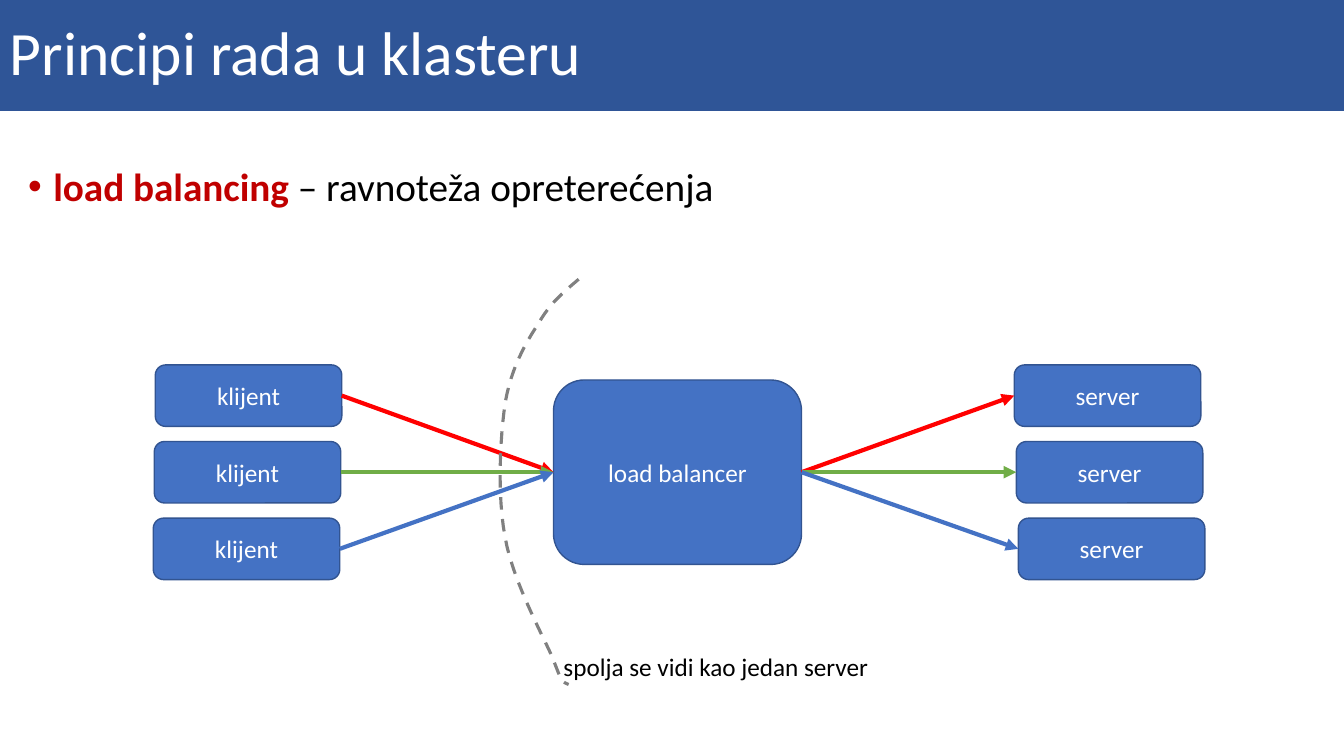
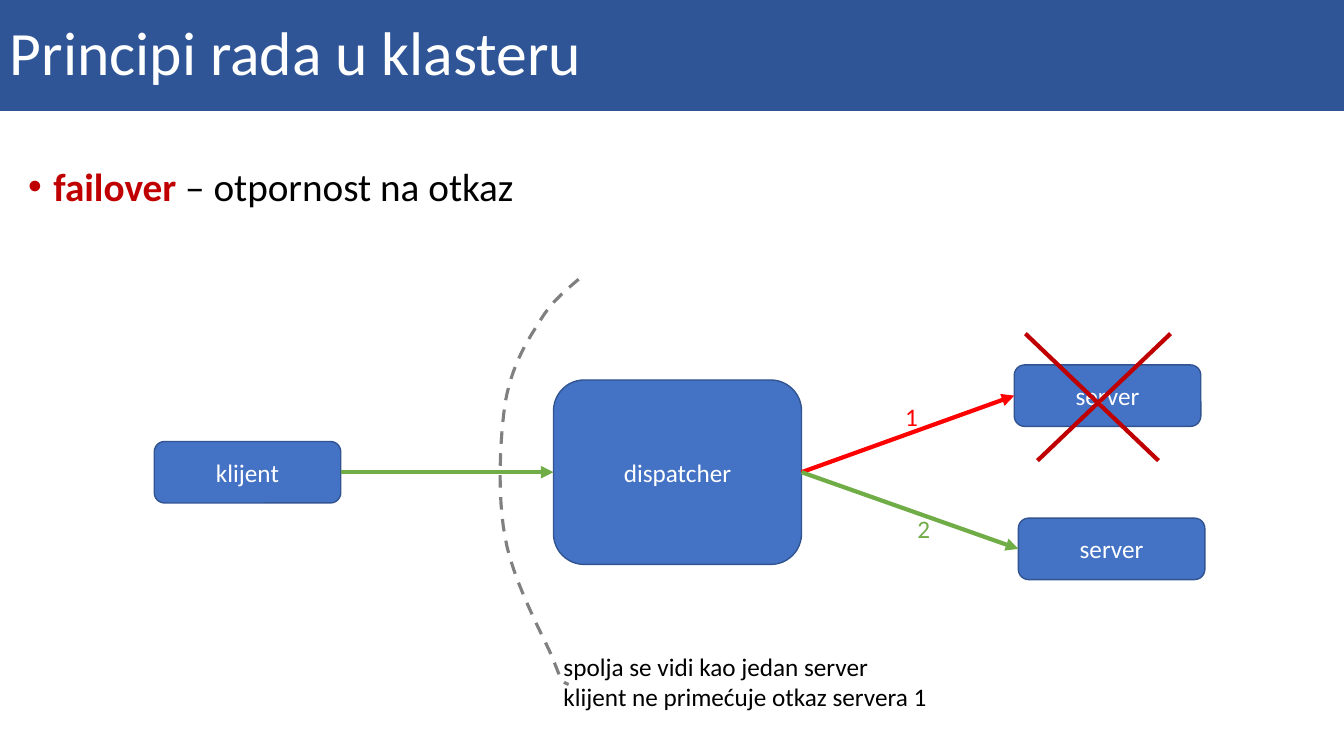
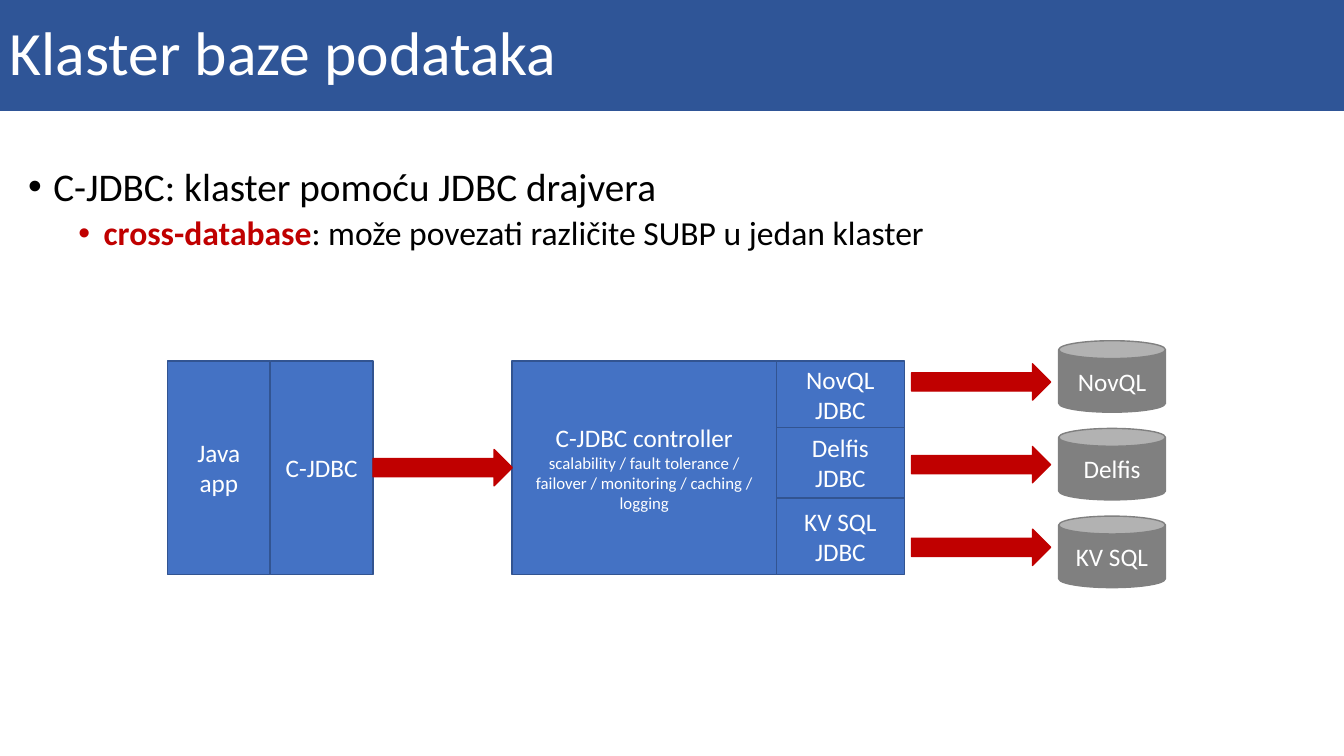
from dataclasses import dataclass
from itertools import accumulate

from lxml.etree import SubElement
from pptx import Presentation
from pptx.dml.color import RGBColor
from pptx.enum.dml import MSO_LINE
from pptx.enum.shapes import MSO_CONNECTOR, MSO_SHAPE as SHAPE
from pptx.enum.text import MSO_ANCHOR, MSO_AUTO_SIZE, PP_ALIGN
from pptx.oxml.ns import qn
from pptx.util import Inches, Pt


@dataclass(frozen=True)
class Theme:
    font: str = "Calibri"
    band: str = "2F5597"
    box: str = "4472C4"
    edge: str = "325491"
    accent: str = "C00000"
    gray: str = "808080"
    red: str = "FF0000"
    green: str = "70AD47"
    white: str = "FFFFFF"
    black: str = "000000"
    title: int = 44
    bullets: tuple = (28, 24)
    label: int = 18
    small: int = 12


T = Theme()
LEFT_SIDE, RIGHT_SIDE = 1, 3

PRINCIPLES = "Principi rada u klasteru"
CLUSTER_SLIDES = [
    {
        "bullets": [("load balancing ", "– ravnoteža opreterećenja")],
        "hub": "load balancer",
        "clients": [(0, T.red), (1, T.green), (2, T.box)],
        "servers": [(0, T.red), (1, T.green), (2, T.box)],
        "note": (["spolja se vidi kao jedan server"], 3.32, 0.4),
        "route_labels": [],
        "failed": False,
    },
    {
        "bullets": [("failover", " – otpornost na otkaz")],
        "hub": "dispatcher",
        "clients": [(1, T.green)],
        "servers": [(0, T.red), (2, T.green)],
        "note": (["spolja se vidi kao jedan server",
                  "klijent ne primećuje otkaz servera 1"], 3.91, 0.71),
        "route_labels": [("1", 8.88, 3.93, T.red), ("2", 9, 5.04, T.green)],
        "failed": True,
    },
]
BOUNDARY_START = (5.74, 2.77)
BOUNDARY_CURVES = [
    ((5.6, 2.89), (5.46, 3), (5.34, 3.21)),
    ((5.21, 3.41), (5.07, 3.65), (5.01, 4)),
    ((4.96, 4.35), (4.93, 4.91), (5.01, 5.33)),
    ((5.08, 5.74), (5.36, 6.26), (5.47, 6.5)),
    ((5.57, 6.75), (5.56, 6.76), (5.64, 6.79)),
]
FAILURE_CROSS = [(10.17, 3.31, 11.49, 4.57), (11.61, 3.31, 10.29, 4.57)]

DATABASE_TITLE = "Klaster baze podataka"
DATABASE_BULLETS = [
    ("", "C-JDBC: klaster pomoću JDBC drajvera"),
    ("cross-database", ": može povezati različite SUBP u jedan klaster"),
]
APP_PARTS = ["Java app", "C-JDBC"]
CONTROLLER = ["C-JDBC controller",
              "scalability / fault tolerance / failover / monitoring / caching / logging"]
DATABASES = [("NovQL", 0.66), ("Delfis", 0.7), ("KV SQL", 0.76)]


def rgb(value):
    return RGBColor.from_string(value)


def set_font(font, size, color):
    font.name, font.size = T.font, Pt(size)
    font.color.rgb = rgb(color)


def add_shape(slide, kind, at, fill, edge, lines=(), sizes=(T.label, T.label), width=1):
    shape = slide.shapes.add_shape(kind, *map(Inches, at))
    shape.shadow.inherit = False
    shape.fill.solid()
    shape.fill.fore_color.rgb = rgb(fill)
    shape.line.color.rgb = rgb(edge)
    shape.line.width = Pt(width)
    frame = shape.text_frame
    frame.vertical_anchor = MSO_ANCHOR.MIDDLE
    if lines:
        frame.text = "\n".join(lines)
        for paragraph, size in zip(frame.paragraphs, sizes):
            paragraph.alignment = PP_ALIGN.CENTER
            set_font(paragraph.font, size, T.white)
    return shape


def add_box(slide, kind, at, *lines, sizes=(T.label, T.label)):
    return add_shape(slide, kind, at, T.box, T.edge, lines, sizes)


def add_label(slide, lines, at, color):
    label = slide.shapes.add_textbox(*map(Inches, at))
    frame = label.text_frame
    frame.word_wrap = False
    frame.auto_size = MSO_AUTO_SIZE.SHAPE_TO_FIT_TEXT
    frame.text = "\n".join(lines)
    for paragraph in frame.paragraphs:
        set_font(paragraph.font, T.label, color)


def add_line(slide, color, ends=(0, 0, 0, 0)):
    line = slide.shapes.add_connector(MSO_CONNECTOR.STRAIGHT, *map(Inches, ends))
    line.line.color.rgb = rgb(color)
    line.line.width = Pt(3)
    SubElement(line._element.spPr, qn("a:effectLst"))
    return line


def add_arrow(slide, source, target, color):
    arrow = add_line(slide, color)
    arrow.begin_connect(source, RIGHT_SIDE)
    arrow.end_connect(target, LEFT_SIDE)
    SubElement(arrow.line._get_or_add_ln(), qn("a:tailEnd"), type="triangle")


def add_bullets(slide, bullets):
    body = slide.shapes.add_textbox(*map(Inches, (0.18, 1.61, 12.99, 4.89)))
    frame = body.text_frame
    frame.word_wrap = True
    for level, (term, rest) in enumerate(bullets):
        paragraph = frame.add_paragraph() if level else frame.paragraphs[0]
        paragraph.level = level
        props = paragraph._p.get_or_add_pPr()
        props.set("marL", str(Inches(0.25 + 0.5 * level)))
        props.set("indent", str(Inches(-0.25)))
        SubElement(props, qn("a:buFont"), typeface="Arial")
        SubElement(props, qn("a:buChar"), char="•")
        paragraph.line_spacing = 0.9
        paragraph.space_before = Pt(5 if level else 10)
        set_font(paragraph.font, T.bullets[level], T.black)
        if term:
            key = paragraph.add_run()
            key.text = term
            key.font.bold = True
            key.font.color.rgb = rgb(T.accent)
        paragraph.add_run().text = rest


def add_slide(deck, title, bullets):
    slide = deck.slides.add_slide(deck.slide_layouts[6])
    band = add_shape(slide, SHAPE.RECTANGLE, (0, 0, 13.33, 1.1),
                     T.band, T.band, [title], [T.title], 0.75)
    heading = band.text_frame.paragraphs[0]
    heading.alignment = PP_ALIGN.LEFT
    heading.line_spacing = 0.9
    add_bullets(slide, bullets)
    return slide


def curve_points(start, curves, steps=12):
    for first, second, end in curves:
        for step in range(1, steps + 1):
            t = step / steps
            u = 1 - t
            yield tuple(
                Inches(u**3 * a + 3 * u * u * t * b + 3 * u * t * t * c + t**3 * d)
                for a, b, c, d in zip(start, first, second, end))
        start = end


def add_boundary(slide):
    builder = slide.shapes.build_freeform(*map(Inches, BOUNDARY_START))
    builder.add_line_segments(curve_points(BOUNDARY_START, BOUNDARY_CURVES), close=False)
    boundary = builder.convert_to_shape()
    boundary.shadow.inherit = False
    boundary.fill.background()
    boundary.line.color.rgb = rgb(T.gray)
    boundary.line.width = Pt(2.25)
    boundary.line.dash_style = MSO_LINE.DASH


def add_nodes(slide, text, rows, left, shift):
    return [(add_box(slide, SHAPE.ROUNDED_RECTANGLE,
                     (left + shift * row, 3.62 + 0.76 * row, 1.85, 0.61), text), color)
            for row, color in rows]


def add_cluster_slide(deck, content):
    slide = add_slide(deck, PRINCIPLES, content["bullets"])
    clients = add_nodes(slide, "klijent", content["clients"], 1.54, -0.01)
    hub = add_box(slide, SHAPE.ROUNDED_RECTANGLE, (5.49, 3.77, 2.46, 1.83), content["hub"])
    servers = add_nodes(slide, "server", content["servers"], 10.06, 0.02)
    for client, color in clients:
        add_arrow(slide, client, hub, color)
    for server, color in servers:
        add_arrow(slide, hub, server, color)
    add_boundary(slide)
    note, width, height = content["note"]
    add_label(slide, note, (5.49, 6.41, width, height), T.black)
    for number, left, top, color in content["route_labels"]:
        add_label(slide, [number], (left, top, 0.33, 0.4), color)
    if content["failed"]:
        for ends in FAILURE_CROSS:
            add_line(slide, T.accent, ends)


def add_database_slide(deck):
    slide = add_slide(deck, DATABASE_TITLE, DATABASE_BULLETS)
    top, height = 3.58, 2.12
    for column, part in enumerate(APP_PARTS):
        add_box(slide, SHAPE.RECTANGLE, (1.66 + 1.02 * column, top, 1.02, height), part)
    add_box(slide, SHAPE.RECTANGLE, (5.08, top, 2.62, height), *CONTROLLER,
            sizes=(T.label, T.small))
    driver_tops = accumulate((tall for _, tall in DATABASES), initial=top)
    flows = [(3.7, 4.46)]
    for row, ((name, tall), driver_top) in enumerate(zip(DATABASES, driver_tops)):
        add_box(slide, SHAPE.RECTANGLE, (7.7, driver_top, 1.27, tall), name, "JDBC")
        add_shape(slide, SHAPE.CAN, (10.5, 3.38 + 0.87 * row, 1.06, 0.71),
                  T.gray, T.gray, [name])
        flows.append((9.04, 3.61 + 0.82 * row))
    for left, flow_top in flows:
        add_shape(slide, SHAPE.RIGHT_ARROW, (left, flow_top, 1.38, 0.36), T.accent, T.accent)


def main():
    deck = Presentation()
    deck.slide_width, deck.slide_height = Inches(13.33), Inches(7.5)
    for content in CLUSTER_SLIDES:
        add_cluster_slide(deck, content)
    add_database_slide(deck)
    deck.save("out.pptx")


if __name__ == "__main__":
    main()
